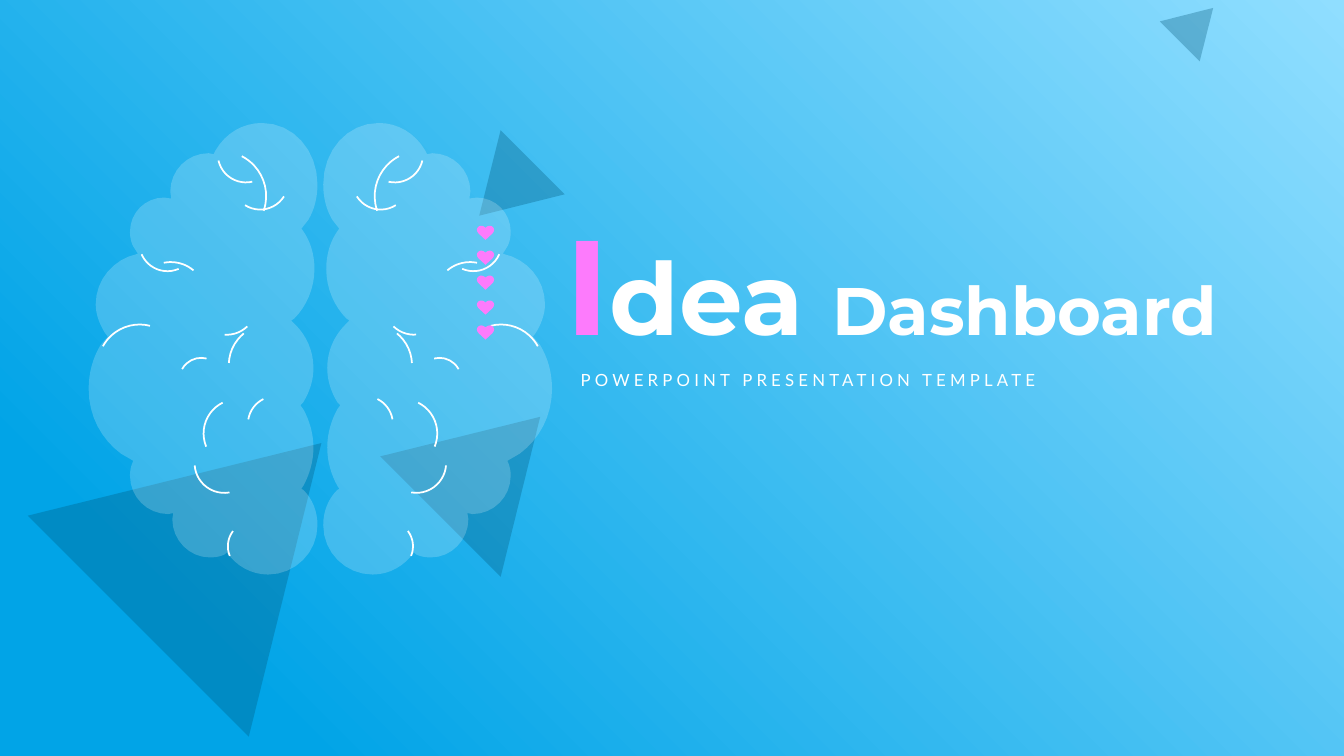
import pptx
import pptx.util
import pptx.dml.color
import pptx.enum.shapes
import pptx.enum.text
import pptx.oxml
import pptx.oxml.ns

Pt = pptx.util.Pt
KIND = pptx.enum.shapes.MSO_SHAPE
TEXT = pptx.enum.text

WIDE, HIGH = 960, 540
WHITE, PINK, NAVY = "FFFFFF", "FD7BFC", "005274"
SKY = [("90DEFF", 0), ("01A4E7", 0.85)]

TITLE = [("I", 96, PINK), ("dea ", 72, WHITE), ("Dashboard", 48, WHITE)]
LABEL = "POWERPOINT PRESENTATION TEMPLATE"

# left, top, width, height, flip
SHARDS = [
    (52.6, 289.4, 223.2, 185, None),
    (289.4, 283, 121.7, 100.8, None),
    (329, 108, 64.8, 54, "flipV"),
    (834.5, 0.7, 40.3, 33.8, None),
]

# Outlines use a grid of 0.72 pt: two numbers are a line, six a curve.
GRID = 0.72
LOBE = [
    (260, 122), (291, 122, 315, 149, 315, 183), (315, 196, 312, 208, 306, 218),
    (299, 227), (300, 228), (308, 239, 312, 252, 312, 267),
    (312, 286, 304, 304, 292, 316), (289, 318), (293, 322),
    (304, 333, 311, 348, 311, 365), (311, 378, 307, 389, 301, 399),
    (298, 402), (301, 406), (307, 417, 311, 430, 311, 444),
    (311, 458, 307, 471, 301, 482), (299, 485), (301, 486),
    (310, 495, 315, 507, 315, 521), (315, 548, 293, 570, 266, 570),
    (249, 570, 234, 561, 225, 548), (223, 550),
    (219, 552, 214, 553, 208, 553), (188, 553, 171, 536, 171, 515),
    (172, 509), (167, 510), (146, 510, 129, 493, 129, 472),
    (129, 467, 130, 462, 132, 458), (132, 457), (120, 450),
    (101, 436, 88, 413, 88, 386), (88, 370, 92, 355, 100, 342),
    (107, 334), (104, 330), (99, 322, 95, 312, 95, 302),
    (95, 277, 113, 257, 136, 252), (137, 252), (132, 244),
    (130, 240, 129, 235, 129, 230), (129, 211, 144, 196, 163, 196),
    (170, 197), (169, 190), (169, 169, 186, 152, 207, 152),
    (212, 153), (214, 149), (224, 132, 241, 122, 260, 122),
]
HEART = [
    (8.5, 14), (2, 8), (1, 7, 0, 5.5, 0, 4), (0, 2, 2, 0, 4, 0),
    (6, 0, 7.5, 1, 8.5, 2), (9.5, 1, 11, 0, 13, 0), (15, 0, 17, 2, 17, 4),
    (17, 5.5, 16, 7, 15, 8), (8.5, 14),
]
HEARTS, HEART_X, HEART_Y, HEART_GAP = 5, 340.7, 161.3, 17.8

# left, top, size, turn, start angle, end angle
FOLDS = [
    (165.6, 109.4, 40.3, 122.3, 270, 0),
    (155.5, 90, 40.3, 167.1, 270, 0),
    (126, 108, 64.1, 167.1, 130.12, 211.95),
    (69.8, 231.8, 59.8, 167.1, 41.6, 117.24),
    (128.2, 255.6, 31, 167.1, 41.6, 117.24),
    (99.4, 153.4, 40.3, 156.5, 270, 0),
    (177.1, 283, 39.6, 126.4, 63.03, 117.24),
    (145.4, 285.1, 49, 126.4, 30.97, 117.24),
    (162.7, 372.2, 36, 126.4, 30.97, 90.77),
    (163.4, 231.8, 57.6, 158.8, 23.82, 72.33),
    (139, 309.6, 42.5, 58.3, 21.7, 117.24),
    (141.1, 197.3, 41.8, 21.9, 23.82, 72.33),
    (97.2, 187.2, 49.7, 110.9, 147.33, 199.6),
]
MIRROR = 457.7  # left x plus its mirrored right x


def color(code):
    return pptx.dml.color.RGBColor.from_string(code)


def paint(shape, code, alpha=None):
    """Fill a shape plainly, without line or shadow."""
    shape.shadow.inherit = False
    shape.line.fill.background()
    shape.fill.solid()
    shape.fill.fore_color.rgb = color(code)
    if alpha:
        tint = shape._element.spPr.find(".//" + pptx.oxml.ns.qn("a:srgbClr"))
        tint.append(pptx.oxml.parse_xml(
            f'<a:alpha {pptx.oxml.ns.nsdecls("a")} val="{alpha * 1000}"/>'))


def flip(shape, side):
    shape._element.spPr.xfrm.set(side, "1")


def trace(path, steps=8):
    """Turn lines and cubic curves into a list of points."""
    dots = []
    for part in path:
        if len(part) == 2:
            dots.append(part)
            continue
        ends = [dots[-1], part[:2], part[2:4], part[4:]]
        for step in range(1, steps + 1):
            t = step / steps
            rate = ((1 - t) ** 3, 3 * t * (1 - t) ** 2, 3 * t * t * (1 - t), t ** 3)
            dots.append(tuple(sum(r * e[axis] for r, e in zip(rate, ends))
                              for axis in (0, 1)))
    return dots


def draw(shapes, path, left=0, top=0, sign=1):
    dots = [(Pt(left + sign * x * GRID), Pt(top + y * GRID)) for x, y in trace(path)]
    form = shapes.build_freeform(*dots[0])
    form.add_line_segments(dots[1:], close=True)
    return form.convert_to_shape()


def write(para, text, size=12, code=WHITE, font="Montserrat", bold=False, space=0):
    run = para.add_run()
    run.text = text
    run.font.size, run.font.name, run.font.bold = Pt(size), font, bold
    run.font.color.rgb = color(code)
    if space:
        run._r.get_or_add_rPr().set("spc", str(space * 100))


def place(slide, holder, left, top, width, height):
    """Move a placeholder to the front and return its first paragraph."""
    slide.shapes._spTree.append(holder._element)
    holder.left, holder.top = Pt(left), Pt(top)
    holder.width, holder.height = Pt(width), Pt(height)
    frame = holder.text_frame
    frame.word_wrap = True
    frame.auto_size = TEXT.MSO_AUTO_SIZE.SHAPE_TO_FIT_TEXT
    frame.vertical_anchor = TEXT.MSO_ANCHOR.TOP
    para = frame.paragraphs[0]
    para.alignment = TEXT.PP_ALIGN.LEFT
    para.space_before, para.line_spacing = Pt(0), 1.0
    return para


def backdrop(shapes):
    sky = shapes.add_shape(KIND.RECTANGLE, 0, 0, Pt(WIDE), Pt(HIGH))
    sky.shadow.inherit = False
    sky.line.fill.background()
    sky.fill.gradient()
    for stop, (code, spot) in zip(sky.fill.gradient_stops, SKY):
        stop.color.rgb, stop.position = color(code), spot
    line = sky._element.spPr.find(".//" + pptx.oxml.ns.qn("a:lin"))
    line.getparent().replace(line, pptx.oxml.parse_xml(
        f'<a:path {pptx.oxml.ns.nsdecls("a")} path="circle">'
        '<a:fillToRect l="100000" b="100000"/></a:path>'))
    for left, top, width, height, side in SHARDS:
        shard = shapes.add_shape(KIND.ISOSCELES_TRIANGLE, Pt(left), Pt(top),
                                 Pt(width), Pt(height))
        paint(shard, NAVY, 30)
        shard.rotation = 45
        if side:
            flip(shard, side)


def half(shapes, right):
    """Draw one half of the brain with its folds."""
    lobe = draw(shapes, LOBE, MIRROR if right else 0, 0, -1 if right else 1)
    paint(lobe, WHITE, 20)
    for left, top, size, turn, start, end in FOLDS:
        x = MIRROR - left - size if right else left
        fold = shapes.add_shape(KIND.ARC, Pt(x), Pt(top), Pt(size), Pt(size))
        fold.shadow.inherit = False
        fold.fill.background()
        fold.line.color.rgb, fold.line.width = color(WHITE), Pt(1.25)
        fold.adjustments[0], fold.adjustments[1] = start * 0.6, end * 0.6
        fold.rotation = 360 - turn if right else turn
        if right:
            flip(fold, "flipH")


def main():
    deck = pptx.Presentation()
    deck.slide_width, deck.slide_height = Pt(WIDE), Pt(HIGH)
    slide = deck.slides.add_slide(deck.slide_layouts[0])
    shapes = slide.shapes
    backdrop(shapes)
    head = place(slide, shapes.title, 396.7, 139.7, 481.7, 123.8)
    for text, size, code in TITLE:
        write(head, text, size=size, code=code, bold=True)
    note = place(slide, slide.placeholders[1], 407.5, 260.6, 470.2, 21.6)
    write(note, LABEL, font="Lato", space=3)
    for right in (False, True):
        half(shapes.add_group_shape().shapes, right)
    for row in range(HEARTS):
        paint(draw(shapes, HEART, HEART_X, HEART_Y + row * HEART_GAP), PINK)
    deck.save("out.pptx")


if __name__ == "__main__":
    main()
